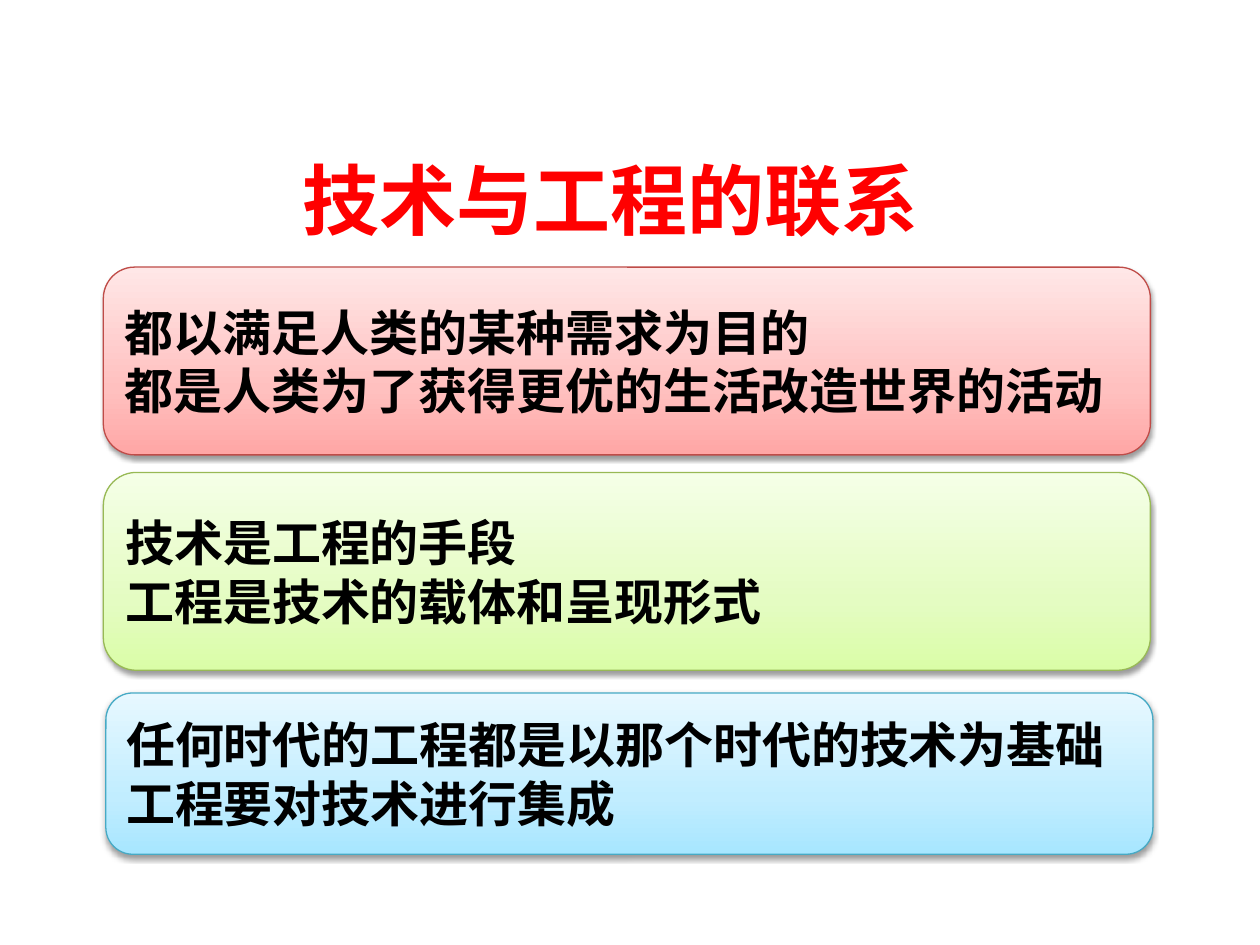
"""Build the slide on how technology and engineering are connected."""
from copy import deepcopy
from dataclasses import dataclass

from lxml.etree import SubElement
from pptx import Presentation
from pptx.dml.color import RGBColor
from pptx.enum.shapes import MSO_SHAPE
from pptx.enum.text import MSO_ANCHOR, PP_ALIGN
from pptx.oxml.ns import qn
from pptx.shapes.autoshape import Shape
from pptx.slide import Slide
from pptx.text.text import TextFrame
from pptx.util import Inches, Pt


@dataclass
class Panel:
    left: float
    top: float
    height: float
    gradient: tuple[str, str, str]
    border: str
    statements: tuple[str, ...]


PANEL_WIDTH = 8.31
STOP_POSITIONS = (0, 0.35, 1)
PANELS = (
    Panel(0.82, 2.12, 1.49, ("FFA6A5", "FFC0BF", "FFE7E7"), "BF4C48",
          ("都以满足人类的某种需求为目的", "都是人类为了获得更优的生活改造世界的活动")),
    Panel(0.84, 5.5, 1.28, ("A7E6FF", "C1EDFF", "E7F8FF"), "46AAC5",
          ("任何时代的工程都是以那个时代的技术为基础工程要对技术进行集成",)),
    Panel(0.82, 3.75, 1.57, ("DAFDA7", "E4FCC2", "F5FFE7"), "98B955",
          ("技术是工程的手段", "工程是技术的载体和呈现形式")),
)


def color(value: str) -> RGBColor:
    return RGBColor.from_string(value)


def write_paragraphs(frame: TextFrame, lines: tuple[str, ...], size: int,
                     ink: str, alignment: PP_ALIGN) -> None:
    frame.word_wrap = True
    frame.vertical_anchor = MSO_ANCHOR.MIDDLE
    for index, line in enumerate(lines):
        paragraph = frame.add_paragraph() if index else frame.paragraphs[0]
        paragraph.alignment = alignment
        run = paragraph.add_run()
        run.text = line
        run.font.name = "Calibri"
        run.font.size = Pt(size)
        run.font.bold = True
        run.font.color.rgb = color(ink)


def apply_gradient(shape: Shape, colors: tuple[str, str, str]) -> None:
    shape.fill.gradient()
    shape.fill.gradient_angle = 90
    stop_list = shape._element.spPr.find(qn("a:gradFill")).find(qn("a:gsLst"))
    stop_list.append(deepcopy(stop_list[-1]))
    for stop, position, value in zip(shape.fill.gradient_stops, STOP_POSITIONS, colors):
        stop.position = position
        stop.color.rgb = color(value)


def apply_shadow(shape: Shape) -> None:
    shape.shadow.inherit = False
    effects = shape._element.spPr.find(qn("a:effectLst"))
    shadow = SubElement(effects, qn("a:outerShdw"), blurRad=str(Pt(3.1)),
                        dist=str(Pt(1.6)), dir="5400000", rotWithShape="0")
    black = SubElement(shadow, qn("a:srgbClr"), val="000000")
    SubElement(black, qn("a:alpha"), val="38000")


def add_panel(slide: Slide, panel: Panel) -> None:
    shape = slide.shapes.add_shape(
        MSO_SHAPE.ROUNDED_RECTANGLE, Inches(panel.left), Inches(panel.top),
        Inches(PANEL_WIDTH), Inches(panel.height))
    apply_gradient(shape, panel.gradient)
    shape.line.color.rgb = color(panel.border)
    shape.line.width = Pt(0.75)
    apply_shadow(shape)
    write_paragraphs(shape.text_frame, panel.statements, 28, "000000", PP_ALIGN.LEFT)


def main() -> None:
    presentation = Presentation()
    presentation.slide_width, presentation.slide_height = Inches(10), Inches(7.5)
    slide = presentation.slides.add_slide(presentation.slide_layouts[5])
    title = slide.shapes.title
    title.left, title.top = Inches(0.35), Inches(0.95)
    title.width, title.height = Inches(9), Inches(1.25)
    write_paragraphs(title.text_frame, ("技术与工程的联系",), 44, "FF0000", PP_ALIGN.CENTER)
    for panel in PANELS:
        add_panel(slide, panel)
    presentation.save("out.pptx")


if __name__ == "__main__":
    main()
